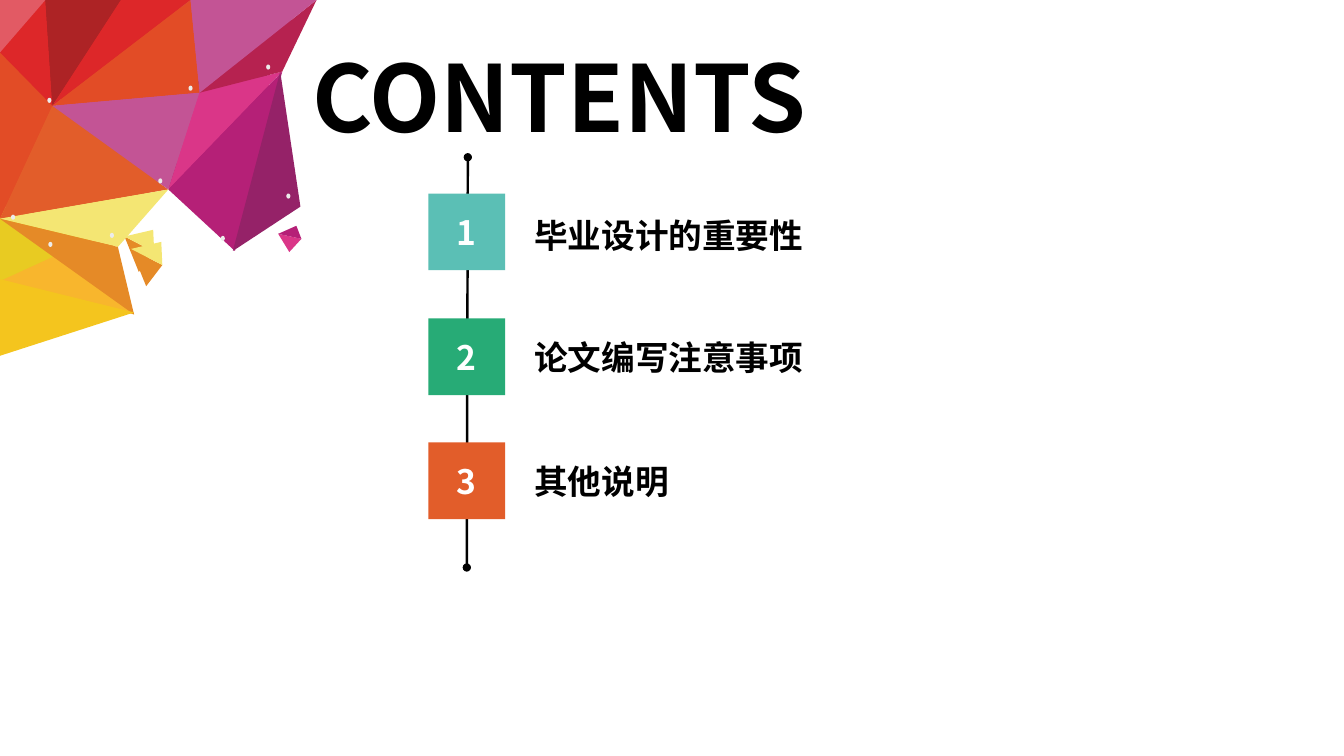
"""Build a contents slide with a faceted corner ornament and a numbered timeline."""
from lxml import etree
from pptx import Presentation
from pptx.dml.color import RGBColor
from pptx.enum.shapes import MSO_CONNECTOR, MSO_SHAPE
from pptx.enum.text import MSO_ANCHOR, MSO_AUTO_SIZE, PP_ALIGN
from pptx.oxml.ns import qn
from pptx.util import Inches, Pt

RECT, OVAL = MSO_SHAPE.RECTANGLE, MSO_SHAPE.OVAL
STRAIGHT = MSO_CONNECTOR.STRAIGHT
LEFT, CENTER = PP_ALIGN.LEFT, PP_ALIGN.CENTER
TOP, MIDDLE = MSO_ANCHOR.TOP, MSO_ANCHOR.MIDDLE
FIT_SHAPE = MSO_AUTO_SIZE.SHAPE_TO_FIT_TEXT
FONT = "Noto Sans CJK SC"
BACK_SCALE = 0.95

FACETS = [
    ("E8CB22", [(0, 2.17), (0, 2.79), (0.94, 2.36)]),
    ("F8B62D", [(0, 2.79), (1.33, 3.12), (0.94, 2.36)]),
    ("E24C26", [(0, 0.52), (0, 2.17), (0.52, 1.05)]),
    ("E25D2A", [(0, 2.17), (1.67, 1.88), (0.52, 1.05)]),
    ("DD2729", [(0.52, 1.05), (0.45, 0), (0, 0.52)]),
    ("AD2325", [(0.52, 1.05), (1.2, 0), (0.45, 0)]),
    ("DD2729", [(0.52, 1.05), (1.89, 0), (1.2, 0)]),
    ("E24C26", [(1.89, 0), (1.98, 0.92), (0.52, 1.05)]),
    ("C35495", [(1.67, 1.88), (0.52, 1.05), (1.98, 0.92)]),
    ("DA3688", [(1.67, 1.88), (2.8, 0.71), (1.98, 0.92)]),
    ("B52077", [(1.67, 1.88), (2.33, 2.49), (2.8, 0.71)]),
    ("952268", [(2.31, 2.49), (2.98, 2.05), (2.78, 0.71)]),
    ("B62250", [(1.98, 0.92), (3.14, 0), (2.8, 0.71)]),
    ("C35495", [(1.89, 0), (3.14, 0), (1.98, 0.92)]),
    ("E58A27", [(1.45, 2.84), (1.3, 2.47), (1.61, 2.63)]),
    ("F4E673", [(1.3, 2.47), (1.6, 2.4), (1.61, 2.63)]),
    ("E25A64", [(0.45, 0), (0, 0), (0, 0.52)]),
    ("F4E673", [(1.67, 1.88), (1.17, 2.45), (0, 2.17)]),
    ("E58A27", [(1.17, 2.45), (1.33, 3.12), (0, 2.17)]),
    ("F4C51E", [(0, 2.77), (0, 3.53), (1.33, 3.1)]),
]
SHARDS = [
    ("DA3688", [(2.87, 2.5), (2.76, 2.32), (2.99, 2.37)]),
    ("B52077", [(2.76, 2.32), (2.94, 2.24), (2.99, 2.37)]),
]
DOTS = [(2.64, 0.64), (1.87, 0.85), (1.57, 1.77), (0.47, 0.97), (0.48, 2.4),
        (0.11, 2.13), (1.09, 2.31), (2.19, 2.34), (2.84, 1.92)]
TOPICS = [
    ("毕业设计的重要性", "5BBFB5", 1.92, 2.08),
    ("论文编写注意事项", "27AB76", 3.16, 3.29),
    ("其他说明", "E25D2A", 4.39, 4.52),
]


def rgb(color):
    """Return the colour for a hex string."""
    return RGBColor.from_string(color)


def paint(sp, color):
    """Give a shape a flat fill with no outline or shadow."""
    sp.shadow.inherit = False
    sp.fill.solid()
    sp.fill.fore_color.rgb = rgb(color)
    sp.line.fill.background()


def write(sp, text, size=24, color="000000", align=LEFT, anchor=TOP):
    """Write one bold paragraph into a shape."""
    tf = sp.text_frame
    tf.word_wrap = True
    tf.vertical_anchor = anchor
    p = tf.paragraphs[0]
    p.alignment = align
    r = p.add_run()
    r.text = text
    r.font.size = Pt(size)
    r.font.bold = True
    r.font.color.rgb = rgb(color)
    r.font.name = FONT
    etree.SubElement(r.font._element, qn("a:ea"), typeface=FONT)


def add_label(s, text, left, top, width, height, **fmt):
    """Add a text box that grows with its text."""
    sp = s.shapes.add_textbox(Inches(left), Inches(top), Inches(width), Inches(height))
    write(sp, text, **fmt)
    sp.text_frame.auto_size = FIT_SHAPE


def add_block(shapes, kind, left, top, width, height, color):
    """Add a flat preset shape."""
    sp = shapes.add_shape(kind, Inches(left), Inches(top), Inches(width), Inches(height))
    paint(sp, color)
    return sp


def add_facet(shapes, color, points, scale=1):
    """Add a flat polygon, scaled from the slide corner."""
    start, *rest = [(Inches(x * scale), Inches(y * scale)) for x, y in points]
    builder = shapes.build_freeform(*start)
    builder.add_line_segments(rest, close=True)
    paint(builder.convert_to_shape(), color)


def add_ornament(s):
    """Draw the faceted corner in two layers, with its shards and dots."""
    shapes = s.shapes.add_group_shape().shapes
    for scale in (BACK_SCALE, 1):
        for color, points in FACETS:
            add_facet(shapes, color, points, scale)
    for color, points in SHARDS:
        add_facet(shapes, color, points)
    for left, top in DOTS:
        add_block(shapes, OVAL, left, top, 0.04, 0.05, "ECECEB")


def add_axis(s, x1, y1, x2, y2):
    """Add a black line with round ends."""
    line = s.shapes.add_connector(STRAIGHT, Inches(x1), Inches(y1), Inches(x2), Inches(y2))
    line.line.color.rgb = rgb("000000")
    line.line.width = Pt(1.75)
    ln = line.line._get_or_add_ln()
    for end in ("a:headEnd", "a:tailEnd"):
        etree.SubElement(ln, qn(end), type="oval")
    etree.SubElement(line._element.spPr, qn("a:effectLst"))


def main():
    """Build and save the slide."""
    prs = Presentation()
    prs.slide_width, prs.slide_height = Inches(13.33), Inches(7.5)
    s = prs.slides.add_slide(prs.slide_layouts[6])
    add_ornament(s)
    add_label(s, "CONTENTS", 3, 0.35, 6.38, 1.21, size=66)
    add_axis(s, 4.64, 1.56, 4.63, 5.63)
    for number, (topic, color, box_top, label_top) in enumerate(TOPICS, 1):
        add_label(s, topic, 5.2, label_top, 4.38, 0.5)
        box = add_block(s.shapes, RECT, 4.25, box_top, 0.76, 0.76, color)
        write(box, str(number), color="FFFFFF", align=CENTER, anchor=MIDDLE)
    prs.save("out.pptx")


if __name__ == "__main__":
    main()
